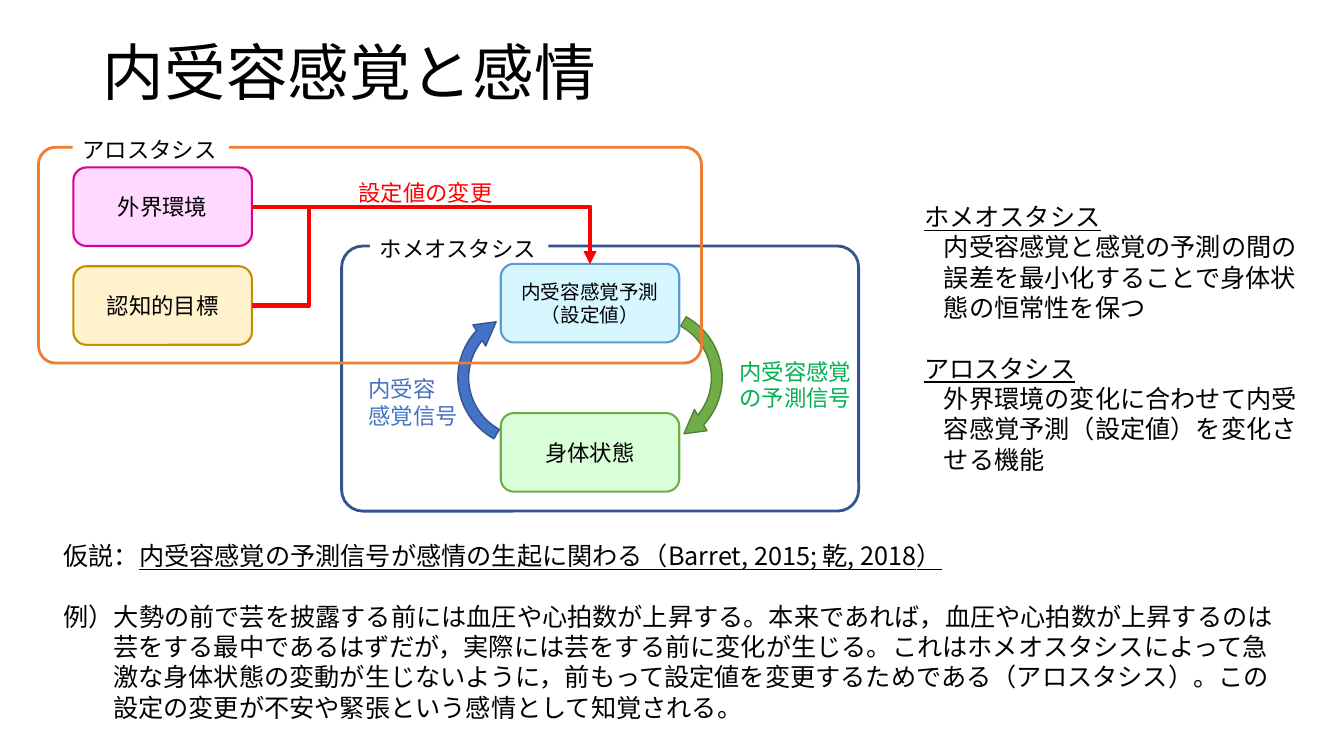
from pptx import Presentation
from pptx.dml.color import RGBColor
from pptx.enum.shapes import MSO_CONNECTOR, MSO_SHAPE
from pptx.enum.text import MSO_ANCHOR, PP_ALIGN
from pptx.oxml.ns import qn
from pptx.util import Cm, Pt
from lxml.etree import SubElement

FONT = "Noto Sans CJK JP"
BLACK = RGBColor(0x00, 0x00, 0x00)
WHITE = RGBColor(0xFF, 0xFF, 0xFF)
RED = RGBColor(0xFF, 0x00, 0x00)
ORANGE = RGBColor(0xED, 0x7D, 0x31)
BLUE = RGBColor(0x44, 0x72, 0xC4)
NAVY = RGBColor(0x32, 0x54, 0x91)
SKY = RGBColor(0x5B, 0x9B, 0xD5)
PALE_SKY = RGBColor(0xD6, 0xF7, 0xFF)
GREEN = RGBColor(0x70, 0xAD, 0x47)
DARK_GREEN = RGBColor(0x54, 0x82, 0x35)
PALE_GREEN = RGBColor(0xD9, 0xFF, 0xD9)
TEXT_GREEN = RGBColor(0x00, 0xB0, 0x50)
PINK = RGBColor(0xD6, 0x00, 0x93)
PALE_PINK = RGBColor(0xFF, 0xD9, 0xFF)
GOLD = RGBColor(0xBF, 0x90, 0x00)
PALE_GOLD = RGBColor(0xFF, 0xF2, 0xCC)

BOX_W, BOX_H = 4.5, 1.98
LEFT_X, MID_X = 1.85, 12.62


def add_run(para, text, size, color=BLACK, under=None):
    run = para.add_run()
    run.text = text
    font = run.font
    font.size, font.name, font.underline = Pt(size), FONT, under
    font.color.rgb = color
    SubElement(run._r.get_or_add_rPr(), qn("a:ea"), typeface=FONT)


def add_para(frame, first, gap=0, left=0, hang=0):
    """Start a paragraph with a left margin and first-line indent."""
    para = frame.paragraphs[0] if first else frame.add_paragraph()
    if gap:
        para.space_before = Pt(gap)
    if left:
        props = para._p.get_or_add_pPr()
        props.set("marL", str(Cm(left)))
        props.set("indent", str(Cm(hang)))
    return para


def add_text(slide, place, lines, color=BLACK, wrap=False, fill=None):
    """Label of one or more short lines."""
    box = slide.shapes.add_textbox(*map(Cm, place))
    box.text_frame.word_wrap = wrap
    if fill is not None:
        box.fill.solid()
        box.fill.fore_color.rgb = fill
    for i, line in enumerate(lines):
        add_run(add_para(box.text_frame, i == 0), line, 16, color)


def add_notes(slide, place, paras):
    """Running text: each paragraph is (runs, gap, left, hang)."""
    frame = slide.shapes.add_textbox(*map(Cm, place)).text_frame
    frame.word_wrap = True
    for i, (runs, *form) in enumerate(paras):
        para = add_para(frame, i == 0, *form)
        for text, under in runs:
            add_run(para, text, 18, under=under)


def add_form(slide, kind, place, fill, line, width):
    form = slide.shapes.add_shape(kind, *map(Cm, place))
    form.shadow.inherit = False
    if fill is None:
        form.fill.background()
    else:
        form.fill.solid()
        form.fill.fore_color.rgb = fill
    form.line.color.rgb = line
    form.line.width = Pt(width)
    return form


def add_frame(slide, place, line, name, label):
    """Rounded outline with a label that breaks its top edge."""
    form = add_form(slide, MSO_SHAPE.ROUNDED_RECTANGLE, place, None, line, 2)
    form.adjustments[0] = 0.08
    add_text(slide, label, [name], wrap=True, fill=WHITE)


def add_box(slide, x, y, text, fill, line, size=16):
    place = (x, y, BOX_W, BOX_H)
    box = add_form(slide, MSO_SHAPE.ROUNDED_RECTANGLE, place, fill, line, 1.5)
    frame = box.text_frame
    frame.word_wrap = True
    frame.vertical_anchor = MSO_ANCHOR.MIDDLE
    para = add_para(frame, True)
    para.alignment = PP_ALIGN.CENTER
    add_run(para, text, size)
    return box


def add_arc(slide, x, turn, fill, line):
    place = (x, 7.54, 3.89, 3.96)
    arc = add_form(slide, MSO_SHAPE.CIRCULAR_ARROW, place, fill, line, 1)
    for i, value in enumerate((0.07, 11.42, 186.12, 126.15, 0.08)):
        arc.adjustments[i] = value
    arc.rotation = turn


def add_link(slide, start, end, kind, bends=()):
    """Red bent arrow from the right of one box to the top of another."""
    link = slide.shapes.add_connector(MSO_CONNECTOR.ELBOW, 0, 0, 0, 0)
    link.begin_connect(start, 3)
    link.end_connect(end, 0)
    link.line.color.rgb = RED
    link.line.width = Pt(3)
    props = link._element.spPr
    geom = props.find(qn("a:prstGeom"))
    geom.set("prst", kind)
    for i, bend in enumerate(bends, 1):
        SubElement(geom.find(qn("a:avLst")), qn("a:gd"),
                   name=f"adj{i}", fmla=f"val {round(bend * 100000)}")
    SubElement(props.find(qn("a:ln")), qn("a:tailEnd"), type="triangle")
    SubElement(props, qn("a:effectLst"))


def add_title(slide, text):
    title = slide.shapes.title
    title.left, title.top, title.width, title.height = map(
        Cm, (2.34, 1.02, 29.21, 3.68))
    frame = title.text_frame
    frame.vertical_anchor = MSO_ANCHOR.MIDDLE
    frame.margin_bottom = Cm(2.05)
    para = frame.paragraphs[0]
    para.alignment = PP_ALIGN.LEFT
    para.line_spacing = 0.9
    add_run(para, text, 44)


def main():
    deck = Presentation()
    deck.slide_width, deck.slide_height = Cm(33.87), Cm(19.05)
    slide = deck.slides.add_slide(deck.slide_layouts[5])
    add_title(slide, "内受容感覚と感情")

    # Homeostasis loop
    add_frame(slide, (8.61, 6.2, 13.03, 6.68), NAVY,
              "ホメオスタシス", (9.32, 5.79, 4.5, 0.89))
    add_box(slide, MID_X, 10.41, "身体状態", PALE_GREEN, GREEN)
    add_arc(slide, 14.45, 90, GREEN, DARK_GREEN)
    add_arc(slide, 11.4, 270, BLUE, NAVY)
    add_text(slide, (9.04, 9.32, 2.79, 1.55), ["内受容", "感覚信号"], BLUE)

    # Allostasis and its inputs
    add_frame(slide, (0.97, 3.71, 16.71, 5.44), ORANGE,
              "アロスタシス", (1.83, 3.3, 3.94, 0.89))
    goal = add_box(slide, LEFT_X, 6.71, "認知的目標", PALE_GOLD, GOLD)
    world = add_box(slide, LEFT_X, 4.22, "外界環境", PALE_PINK, PINK)
    guess = add_box(slide, MID_X, 6.65, "内受容感覚予測（設定値）",
                    PALE_SKY, SKY, 14)

    # Both arrows share the level of the upper box's centre
    drop = goal.top + goal.height / 2 - guess.top
    rise = (goal.top - world.top) / drop
    add_link(slide, world, guess, "bentConnector2")
    add_link(slide, goal, guess, "bentConnector4", (0.17, rise))
    add_text(slide, (8.79, 4.4, 4.17, 1.09), ["設定値の変更"], RED)
    add_text(slide, (18.39, 8.89, 3.56, 1.91),
             ["内受容感覚", "の予測信号"], TEXT_GREEN)

    # Definitions
    add_notes(slide, (23.04, 4.95, 10.13, 7.19), [
        ([("ホメオスタシス", True)],),
        ([("内受容感覚と感覚の予測の間の誤差を最小化することで"
           "身体状態の恒常性を保つ", None)], 0, 0.5),
        ([("アロスタシス", True)], 22),
        ([("外界環境の変化に合わせて内受容感覚予測（設定値）を"
           "変化させる機能", None)], 0, 0.5),
    ])

    # Hypothesis and example
    add_notes(slide, (1.35, 13.49, 31.19, 4.88), [
        ([("仮説：", None),
          ("内受容感覚の予測信号が感情の生起に関わる"
           "（Barret, 2015; 乾, 2018）", True)],),
        ([("例）大勢の前で芸を披露する前には血圧や心拍数が上昇する。"
           "本来であれば，血圧や心拍数が上昇するのは芸をする最中であるはずだが，"
           "実際には芸をする前に変化が生じる。これはホメオスタシスによって"
           "急激な身体状態の変動が生じないように，前もって設定値を変更するためである"
           "（アロスタシス）。この設定の変更が不安や緊張という感情として知覚される。",
           None)], 22, 1.25, -1.25),
    ])
    deck.save("out.pptx")


if __name__ == "__main__":
    main()
